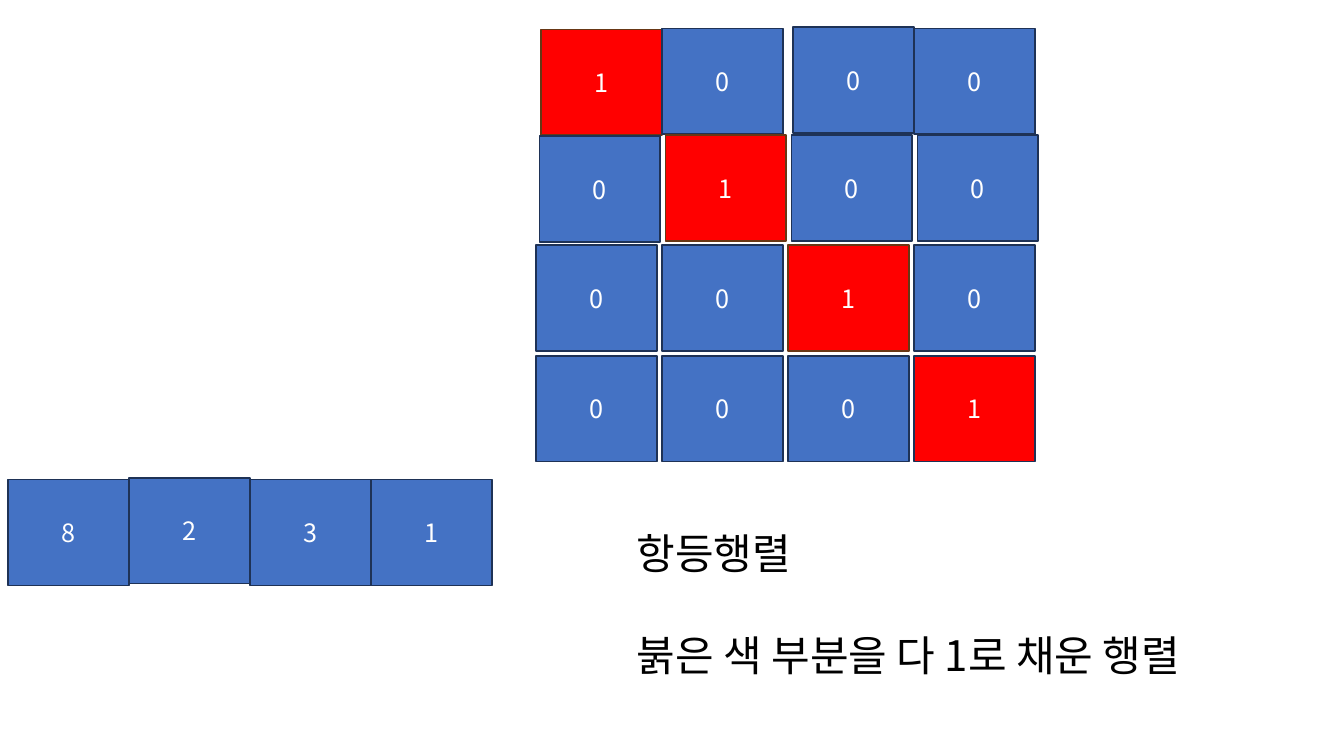
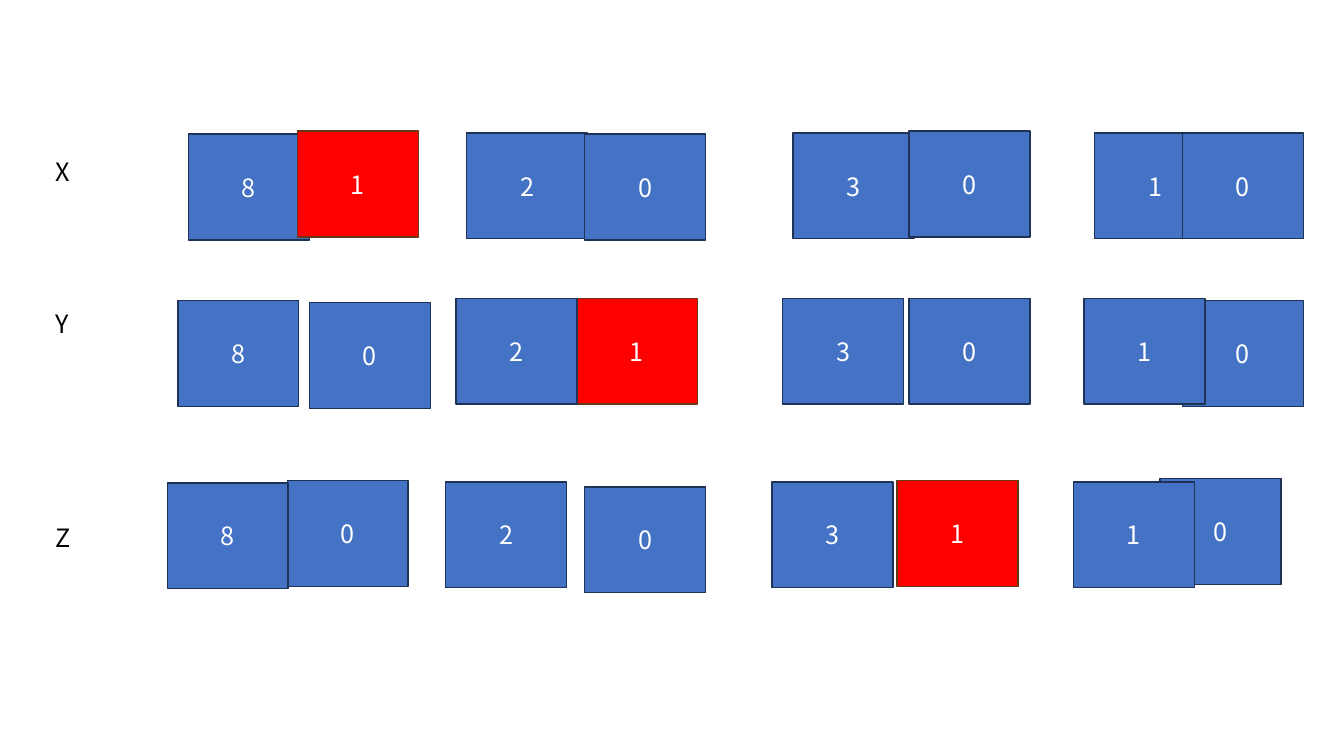
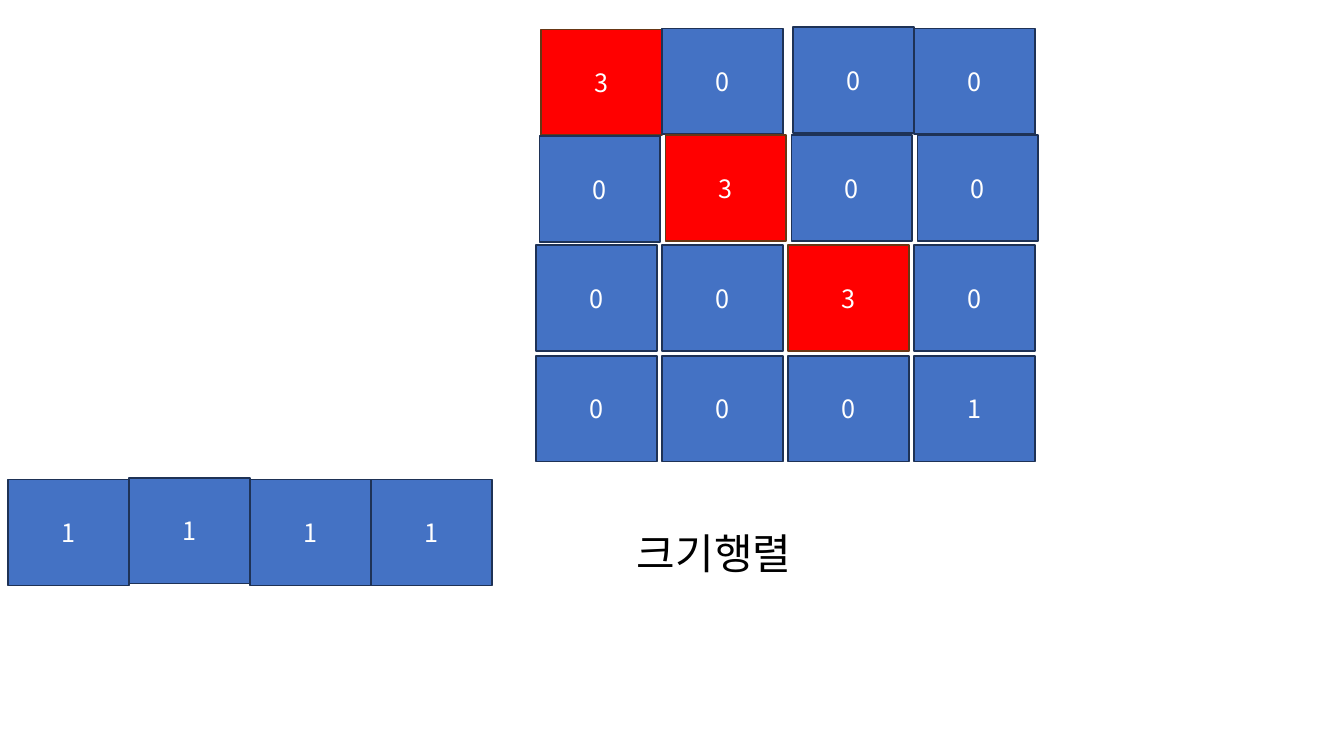
"""Build three slides on identity and scale matrices."""
import pptx
import pptx.dml.color
import pptx.enum.shapes
import pptx.enum.text
import pptx.oxml.ns
import pptx.util
from dataclasses import dataclass

MATRIX_SLIDES = {
    "identity": {
        "matrix": ["1000", "0100", "0010", "0001"],
        "vector": "8231",
        "highlights": 4,
        "captions": [("항등행렬", 0), ("붉은 색 부분을 다 1로 채운 행렬", 1)],
    },
    "scale": {
        "matrix": ["3000", "0300", "0030", "0001"],
        "vector": "1111",
        "highlights": 3,
        "captions": [("크기행렬", 0)],
    },
}
AXIS_LABELS = [("X", 0), ("Y", 4), ("Z", 6)]
VECTOR = "8231"
AXIS_ROWS = ["1000", "0100", "0010"]

COLUMN_STEP = 90
MATRIX_LEFTS = [
    (386.6, 473, 566.6, 653),
    *[[left + COLUMN_STEP * column for column in range(4)] for left in (385.2, 383, 383)],
]
MATRIX_TOPS = [(20.9, 20.2, 19.4, 20.2), (97.2, 96.5, 96.5, 96.5), (175,) * 4, (254.2,) * 4]
VECTOR_LEFT = 5.8
VECTOR_TOPS = (342.7, 341.3, 342.7, 342.7)

VALUE_LEFTS = (134.6, 333.4, 566.6, 781.9)
VALUE_SHIFT = -7.56
VALUE_TOPS = [(95.8, 95, 95, 95), (214.6, 213.1, 213.1, 213.1), (344.9, 344.2, 344.2, 344.2)]
FACTOR_LEFTS = [
    (212.4, 417.6, 649.4, 844.6),
    (221, 411.8, 649.4, 844.6),
    (205.2, 417.6, 640.8, 828.7),
]
FACTOR_TOPS = [
    (93.6, 95.8, 93.6, 95),
    (216, 213.1, 213.1, 214.6),
    (343.4, 347.8, 343.4, 342),
]


@dataclass(frozen=True)
class Theme:
    """Colours, type and cell sizes shared by the slides."""
    font: str = "Noto Sans CJK KR"
    blue: str = "4472C4"
    navy: str = "1E3256"
    red: str = "FF0000"
    rust: str = "683715"
    white: str = "FFFFFF"
    black: str = "000000"
    body: float = 18
    caption: float = 30
    leading: float = 1.21
    cell_width: float = 86.4
    cell_height: float = 75.6


THEME = Theme()


def points(*values):
    """Convert numbers to point lengths."""
    return [pptx.util.Pt(value) for value in values]


def colour(value):
    """Turn a hex string into a colour."""
    return pptx.dml.color.RGBColor.from_string(value)


def write(paragraph, text, size=THEME.body, ink=THEME.black):
    """Add one formatted run to a paragraph."""
    run = paragraph.add_run()
    run.text = text
    run.font.name = THEME.font
    run.font.size = pptx.util.Pt(size)
    run.font.color.rgb = colour(ink)
    east_asian = run.font._element.makeelement(pptx.oxml.ns.qn("a:ea"), {"typeface": THEME.font})
    run.font._element.find(pptx.oxml.ns.qn("a:latin")).addnext(east_asian)


def add_cell(slide, text, left, top, fill=THEME.blue, edge=THEME.navy):
    """Add one numbered cell."""
    shape = slide.shapes.add_shape(
        pptx.enum.shapes.MSO_SHAPE.RECTANGLE,
        *points(left, top, THEME.cell_width, THEME.cell_height),
    )
    shape.shadow.inherit = False
    shape.fill.solid()
    shape.fill.fore_color.rgb = colour(fill)
    shape.line.color.rgb = colour(edge)
    shape.line.width = pptx.util.Pt(1)
    shape.text_frame.vertical_anchor = pptx.enum.text.MSO_ANCHOR.MIDDLE
    paragraph = shape.text_frame.paragraphs[0]
    paragraph.alignment = pptx.enum.text.PP_ALIGN.CENTER
    write(paragraph, text, ink=THEME.white)


def add_row(slide, texts, lefts, tops, highlight=None, edge=THEME.rust):
    """Add a row of cells with at most one highlighted column."""
    for column, (text, left, top) in enumerate(zip(texts, lefts, tops)):
        style = {"fill": THEME.red, "edge": edge} if column == highlight else {}
        add_cell(slide, text, left, top, **style)


def add_lines(slide, lines, left, top, width, height, size):
    """Add a text box whose lines carry a gap counted in line heights."""
    frame = slide.shapes.add_textbox(*points(left, top, width, height)).text_frame
    frame.word_wrap = False
    frame.auto_size = pptx.enum.text.MSO_AUTO_SIZE.SHAPE_TO_FIT_TEXT
    line_height = size * THEME.leading
    for index, (text, gap) in enumerate(lines):
        paragraph = frame.add_paragraph() if index else frame.paragraphs[0]
        paragraph.line_spacing = pptx.util.Pt(line_height)
        paragraph.space_before = pptx.util.Pt(gap * line_height)
        write(paragraph, text, size=size)


def add_slide(presentation):
    """Add a blank slide."""
    return presentation.slides.add_slide(presentation.slide_layouts[6])


def build_matrix_slide(presentation, content, caption_width, caption_height):
    """Draw a matrix, its vector and the captions."""
    slide = add_slide(presentation)
    for row, texts in enumerate(content["matrix"]):
        highlight = row if row < content["highlights"] else None
        edge = THEME.navy if row == 3 else THEME.rust
        add_row(slide, texts, MATRIX_LEFTS[row], MATRIX_TOPS[row], highlight, edge)
    vector_lefts = [VECTOR_LEFT + THEME.cell_width * column for column in range(4)]
    add_row(slide, content["vector"], vector_lefts, VECTOR_TOPS)
    add_lines(slide, content["captions"], 447.8, 373, caption_width, caption_height, THEME.caption)


def build_axis_slide(presentation):
    """Draw each vector value beside its factor for every axis."""
    slide = add_slide(presentation)
    add_lines(slide, AXIS_LABELS, 32.4, 108, 25.2, 290.9, THEME.body)
    for row, factors in enumerate(AXIS_ROWS):
        value_lefts = [left + VALUE_SHIFT * row for left in VALUE_LEFTS]
        layers = [
            (VECTOR, value_lefts, VALUE_TOPS[row], None),
            (factors, FACTOR_LEFTS[row], FACTOR_TOPS[row], row),
        ]
        for layer in layers if row == 0 else reversed(layers):
            add_row(slide, *layer)


presentation = pptx.Presentation()
presentation.slide_width, presentation.slide_height = points(960, 540)
build_matrix_slide(presentation, MATRIX_SLIDES["identity"], 458.6, 116.6)
build_axis_slide(presentation)
build_matrix_slide(presentation, MATRIX_SLIDES["scale"], 135.4, 43.9)
presentation.save("out.pptx")
